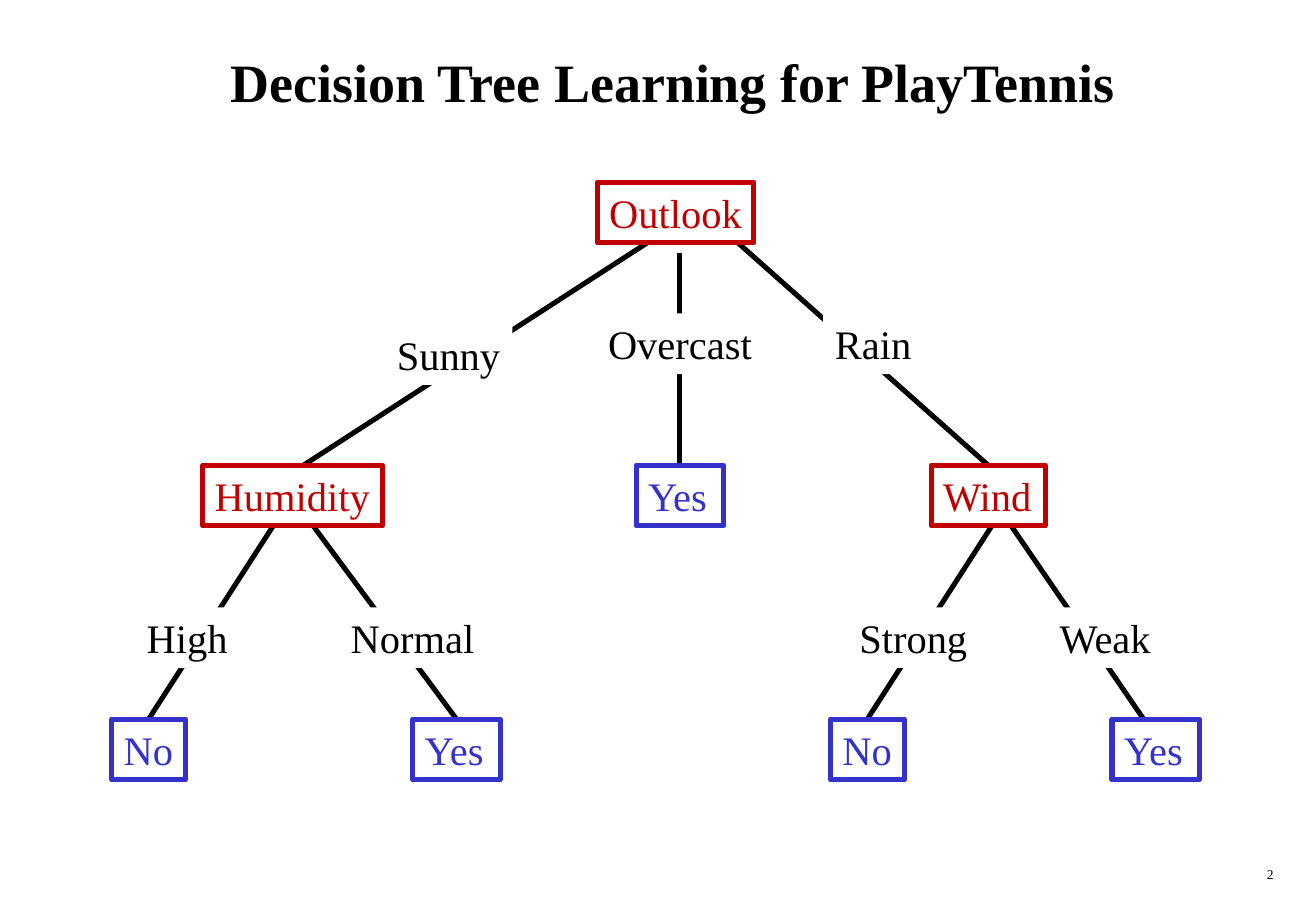
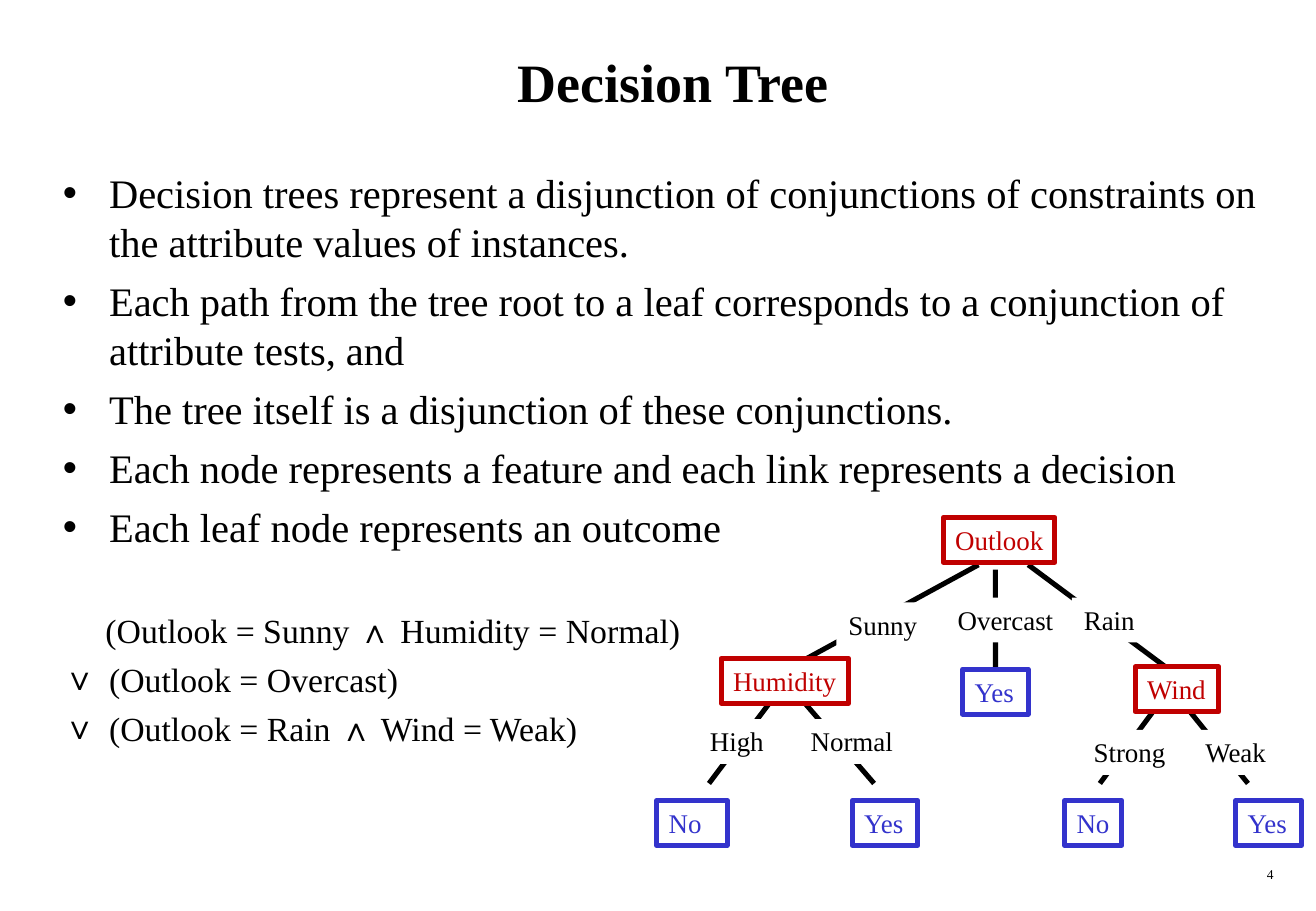
from lxml.etree import SubElement
from pptx import Presentation
from pptx.dml.color import RGBColor
from pptx.enum.shapes import MSO_CONNECTOR, MSO_SHAPE
from pptx.enum.text import MSO_ANCHOR, PP_ALIGN
from pptx.oxml.ns import qn
from pptx.util import Inches, Pt

BLACK = RGBColor(0x00, 0x00, 0x00)
WHITE = RGBColor(0xFF, 0xFF, 0xFF)
RED = RGBColor(0xC0, 0x00, 0x00)
BLUE = RGBColor(0x33, 0x33, 0xCC)
SERIF = "Times New Roman"
SANS = "Arial"

NODES = [
    ("Outlook", RED, None),
    ("Sunny", BLACK, None),
    ("Overcast", BLACK, None),
    ("Rain", BLACK, None),
    ("Humidity", RED, "Sunny"),
    ("High", BLACK, None),
    ("Normal", BLACK, None),
    ("Wind", RED, "Rain"),
    ("Strong", BLACK, None),
    ("Weak", BLACK, None),
    ("No", BLUE, "High"),
    ("Yes", BLUE, "Normal"),
    ("Yes", BLUE, "Overcast"),
    ("Yes", BLUE, "Weak"),
    ("No", BLUE, "Strong"),
]

LARGE_TREE = {
    "size": 24,
    "height": 0.5,
    "branches": {
        "Sunny": (5.33, 2, 2.5, 3.83),
        "Rain": (6.08, 2, 8.17, 3.83),
        "High": (2.25, 4.33, 1.25, 5.92),
        "Normal": (2.58, 4.33, 3.75, 5.92),
        "Weak": (8.33, 4.33, 9.42, 5.92),
        "Strong": (8.17, 4.33, 7.17, 5.92),
        "Overcast": (5.6, 2.08, 5.6, 3.83),
    },
    "joined": {"Rain", "High", "Normal", "Strong", "Overcast"},
    "boxes": [
        (4.92, 1.5, 1.29), (3.17, 2.67, 1.05), (4.91, 2.58, 1.38),
        (6.78, 2.58, 0.83), (1.67, 3.83, 1.48), (1.11, 5, 0.86),
        (2.79, 5, 1.22), (7.67, 3.83, 0.94), (6.98, 5, 1.09),
        (8.63, 5, 0.97), (0.92, 5.92, 0.61), (3.4, 5.92, 0.72),
        (5.24, 3.83, 0.72), (9.16, 5.92, 0.72), (6.84, 5.92, 0.61),
    ],
}

SMALL_TREE = {
    "size": 16,
    "height": 0.37,
    "branches": {
        "Sunny": (8.06, 4.65, 6.52, 5.49),
        "Rain": (8.47, 4.65, 9.6, 5.49),
        "High": (6.39, 5.72, 5.84, 6.45),
        "Normal": (6.57, 5.72, 7.2, 6.45),
        "Weak": (9.69, 5.72, 10.28, 6.45),
        "Strong": (9.6, 5.72, 9.06, 6.45),
        "Overcast": (8.2, 4.69, 8.2, 5.51),
    },
    "joined": {"Overcast"},
    "boxes": [
        (7.77, 4.26, 0.92), (6.89, 4.96, 0.76), (7.79, 4.92, 0.99),
        (8.83, 4.92, 0.62), (5.94, 5.42, 1.05), (5.75, 5.92, 0.64),
        (6.58, 5.92, 0.87), (9.35, 5.49, 0.69), (8.91, 6.01, 0.79),
        (9.83, 6.01, 0.71), (5.41, 6.59, 0.58), (7.02, 6.59, 0.54),
        (7.93, 5.51, 0.54), (10.18, 6.59, 0.54), (8.77, 6.59, 0.47),
    ],
}

BODY = [
    ("•", 24, 0, "Decision trees represent a disjunction of conjunctions of "
     "constraints on the attribute values of instances."),
    ("•", 24, 6, "Each path from the tree root to a leaf corresponds to a "
     "conjunction of attribute tests, and"),
    ("•", 24, 6, "The tree itself is a disjunction of these conjunctions."),
    ("•", 24, 6, "Each node represents a feature and each link represents a decision"),
    ("•", 24, 6, "Each leaf node represents an outcome"),
    (None, 20, 35, "(Outlook = Sunny ∧ Humidity = Normal)"),
    ("∨", 20, 5, "(Outlook = Overcast)"),
    ("∨", 20, 5, "(Outlook = Rain ∧ Wind = Weak)"),
]
LINE_SPACING = {24: 29, 20: 24}

SLIDES = [
    ("Decision Tree Learning for PlayTennis", "2", [], LARGE_TREE),
    ("Decision Tree", "4", BODY, SMALL_TREE),
]


def write(paragraph, text, size=24, color=BLACK, bold=False, align=PP_ALIGN.LEFT):
    paragraph.alignment = align
    before, operator, after = text.partition("∧")
    for part, name in ((before, SERIF), (operator, SANS), (after, SERIF)):
        if part:
            run = paragraph.add_run()
            run.text = part
            run.font.name = name
            run.font.size = Pt(size)
            run.font.bold = bold
            run.font.color.rgb = color


def add_text_frame(slide, left, top, width, height, anchor=MSO_ANCHOR.TOP):
    box = slide.shapes.add_textbox(
        Inches(left), Inches(top), Inches(width), Inches(height))
    box.text_frame.word_wrap = True
    box.text_frame.vertical_anchor = anchor
    return box.text_frame


presentation = Presentation()
presentation.slide_width = Inches(10.84)
presentation.slide_height = Inches(7.5)

for title, number, body, tree in SLIDES:
    slide = presentation.slides.add_slide(presentation.slide_layouts[6])
    title_frame = add_text_frame(slide, 0.42, 0.17, 10.25, 1, MSO_ANCHOR.MIDDLE)
    write(title_frame.paragraphs[0], title, size=32, bold=True, align=PP_ALIGN.CENTER)
    number_frame = add_text_frame(slide, 8.33, 7.08, 2.26, 0.25)
    write(number_frame.paragraphs[0], number, size=8, align=PP_ALIGN.RIGHT)

    if body:
        body_frame = add_text_frame(slide, 0.42, 1.33, 10.25, 5.58)
    for index, (bullet, size, space, text) in enumerate(body):
        paragraph = body_frame.add_paragraph() if index else body_frame.paragraphs[0]
        properties = paragraph._p.get_or_add_pPr()
        if bullet:
            properties.set("marL", str(Inches(0.38)))
            properties.set("indent", str(-Inches(0.38)))
            bullet_color = SubElement(properties, qn("a:buClr"))
            SubElement(bullet_color, qn("a:srgbClr"), val=str(BLACK))
            SubElement(properties, qn("a:buFont"), typeface=SANS)
            SubElement(properties, qn("a:buChar"), char=bullet)
        else:
            properties.set("marL", str(Inches(0.35)))
        paragraph.line_spacing = Pt(LINE_SPACING[size])
        paragraph.space_before = Pt(space)
        write(paragraph, text, size=size)

    connectors = {}
    for branch, points in tree["branches"].items():
        connector = slide.shapes.add_connector(
            MSO_CONNECTOR.STRAIGHT, *[Inches(value) for value in points])
        connector.line.color.rgb = BLACK
        connector.line.width = Pt(3)
        SubElement(connector._element.spPr, qn("a:effectLst"))
        connectors[branch] = connector

    for (text, color, branch), (left, top, width) in zip(NODES, tree["boxes"]):
        shape = slide.shapes.add_shape(
            MSO_SHAPE.RECTANGLE, Inches(left), Inches(top),
            Inches(width), Inches(tree["height"]))
        shape.shadow.inherit = False
        shape.fill.solid()
        shape.fill.fore_color.rgb = WHITE
        if color == BLACK:
            shape.line.fill.background()
        else:
            shape.line.color.rgb = color
            shape.line.width = Pt(3)
        frame = shape.text_frame
        frame.word_wrap = True
        frame.margin_right = 0
        frame.vertical_anchor = MSO_ANCHOR.TOP
        write(frame.paragraphs[0], text, size=tree["size"], color=color)
        if branch in tree["joined"]:
            connectors[branch].end_connect(shape, 0)

presentation.save("out.pptx")
